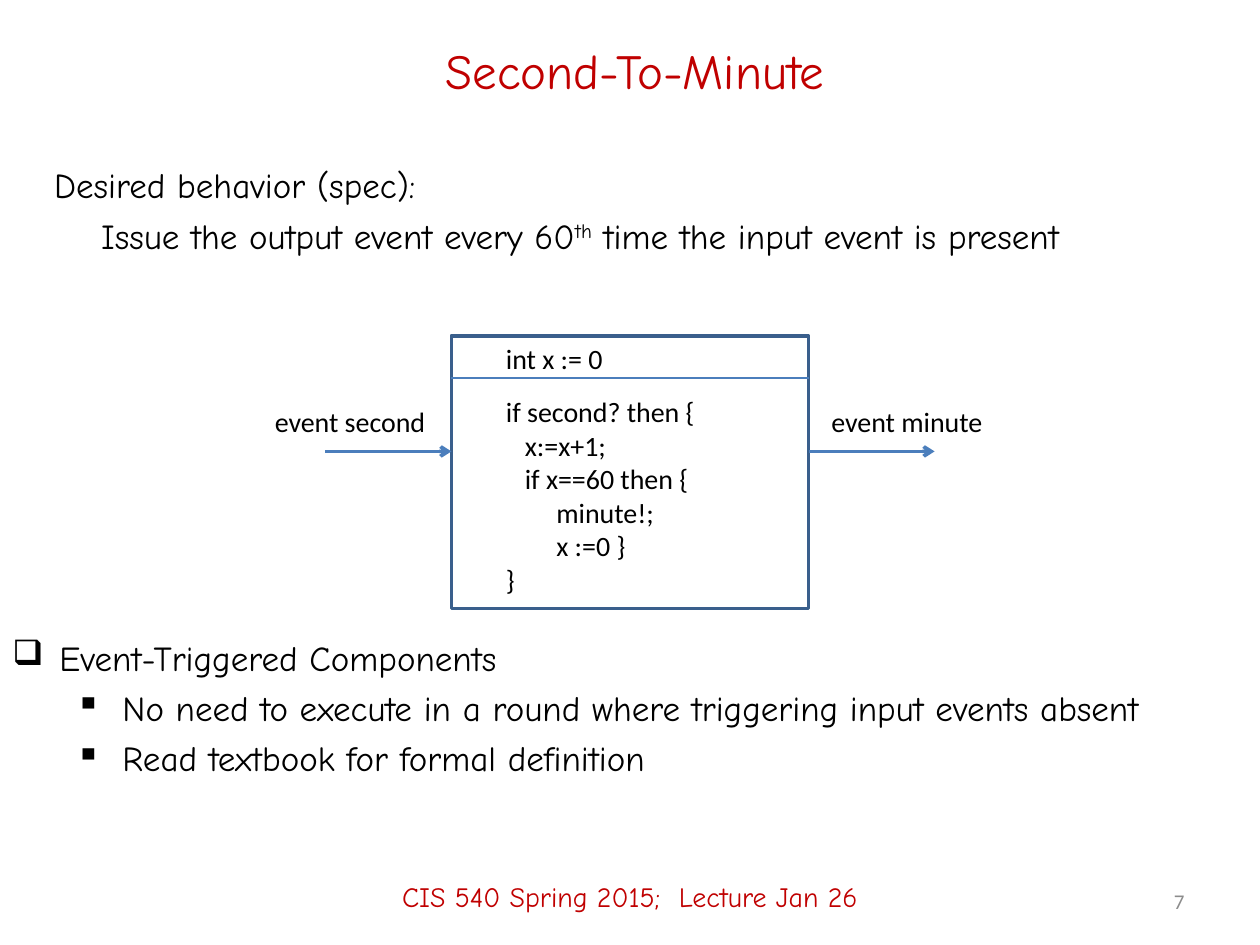
from lxml.etree import SubElement
from pptx import Presentation
from pptx.dml.color import RGBColor
from pptx.enum.shapes import MSO_CONNECTOR as Connector, MSO_SHAPE as Shape
from pptx.enum.text import MSO_ANCHOR as Anchor, PP_ALIGN as Align
from pptx.oxml.ns import qn
from pptx.util import Cm, Pt

RED = RGBColor(0xC0, 0x00, 0x00)
BLACK = RGBColor(0x00, 0x00, 0x00)
GRAY = RGBColor(0x8C, 0x8C, 0x8C)
FRAME_BLUE = RGBColor(0x3A, 0x5F, 0x8C)
ARROW_BLUE = RGBColor(0x4B, 0x7E, 0xBC)
HEADING_FONT = "Comic Neue"
CODE_FONT = "Calibri"
STEP = 0.95

UPDATE_CODE = """if second? then {
   x:=x+1;
   if x==60 then {
        minute!;
        x :=0 }
}"""


def indent(paragraph, margin, bullet):
    """Give a paragraph a hanging indent and an optional bullet."""
    properties = paragraph._p.get_or_add_pPr()
    properties.set("marL", str(Cm(margin)))
    properties.set("indent", str(-Cm(STEP)))
    if bullet:
        SubElement(properties, qn("a:buChar")).set("char", bullet)
    else:
        SubElement(properties, qn("a:buNone"))


def add_text(slide, text, box, size=20, font=HEADING_FONT, color=BLACK, align=Align.LEFT,
             anchor=Anchor.TOP, wrap=True, outline=None, space=0):
    """Add a text box; outline lists the (level, bullet) of each line."""
    frame = slide.shapes.add_textbox(*map(Cm, box)).text_frame
    frame.word_wrap = wrap
    frame.vertical_anchor = anchor
    for index, line in enumerate(text.split("\n")):
        paragraph = frame.paragraphs[0] if index == 0 else frame.add_paragraph()
        if outline:
            level, bullet = outline[index]
            paragraph.level = level
            indent(paragraph, STEP + level * 1.27, bullet)
        paragraph.alignment = align
        if index:
            paragraph.space_before = Pt(space)
        for part, piece in enumerate(line.split("^")):
            run = paragraph.add_run()
            run.text = piece
            run.font.size = Pt(size)
            run.font.name = font
            run.font.color.rgb = color
            if part % 2:
                run._r.get_or_add_rPr().set("baseline", "30000")
    return frame


def add_line(slide, start, end, width, arrow=False):
    """Draw a straight line, with an arrowhead at its end if asked."""
    line = slide.shapes.add_connector(Connector.STRAIGHT, *map(Cm, start + end))
    line.line.color.rgb = ARROW_BLUE
    line.line.width = Pt(width)
    if arrow:
        SubElement(line.line._get_or_add_ln(), qn("a:tailEnd")).set("type", "arrow")
    SubElement(line._element.spPr, qn("a:effectLst"))


def add_component(slide, left, top, width, height):
    """Draw the component with its state, update code and event arrows."""
    frame = slide.shapes.add_shape(Shape.RECTANGLE, *map(Cm, (left, top, width, height)))
    frame.shadow.inherit = False
    frame.fill.background()
    frame.line.color.rgb = FRAME_BLUE
    frame.line.width = Pt(2)

    right, divider, event = left + width, top + 0.85, top + 2.33
    arrow_length, label_top = 2.54, top + 1.27
    for start in (right, left - arrow_length):
        add_line(slide, (start, event), (start + arrow_length, event), 2, arrow=True)
    add_line(slide, (left, divider), (right, divider), 0.75)

    code_left = left + 0.85
    for text, box in (
        ("event second", (left - 3.81, label_top, 3.58, 0.94)),
        ("int x := 0", (code_left, top, 2.48, 0.94)),
        ("event minute", (right + 0.21, label_top, 3.6, 0.94)),
    ):
        add_text(slide, text, box, size=16, font=CODE_FONT, wrap=False)
    add_text(slide, UPDATE_CODE, (code_left, top + 1.06, 4.45, 4.4), size=16, font=CODE_FONT)


def add_behavior(slide, *box):
    """Place the desired behavior of the component."""
    add_text(slide, "Desired behavior (spec):\n"
             "\tIssue the output event every 60^th^ time the input event is present",
             box, outline=[(0, None), (0, None)], space=4.8)


def add_remarks(slide, *box):
    """Place the bulleted remarks on event-triggered components."""
    add_text(slide, "Event-Triggered Components\n"
             "No need to execute in a round where triggering input events absent\n"
             "Read textbook for formal definition",
             box, outline=[(0, "❑"), (1, "▪"), (1, "▪")], space=4.8)


def add_footer(slide, left, top, width, height):
    """Place the course line and the slide number."""
    add_text(slide, "CIS 540 Spring 2015;  Lecture Jan 26", (left, top, width, height),
             size=16, color=RED, align=Align.CENTER, anchor=Anchor.MIDDLE)
    add_text(slide, "7", (left + 18.2, top + 0.58, 5.93, 1.02), size=12, font=CODE_FONT,
             color=GRAY, align=Align.RIGHT, anchor=Anchor.MIDDLE)


def main():
    """Build the slide and save it."""
    deck = Presentation()
    deck.slide_width, deck.slide_height = Cm(25.4), Cm(19.05)
    slide = deck.slides.add_slide(deck.slide_layouts[6])
    add_text(slide, "Second-To-Minute", (1.9, 0.43, 21.8, 1.98), size=28, color=RED,
             align=Align.CENTER, anchor=Anchor.MIDDLE)
    add_component(slide, 9.1, 6.77, 7.2, 5.5)
    add_behavior(slide, 0.84, 3.18, 24.56, 2.96)
    add_remarks(slide, 0, 12.7, 25.4, 4.45)
    add_footer(slide, 0, 17.07, 25.4, 1.98)
    deck.save("out.pptx")


if __name__ == "__main__":
    main()
